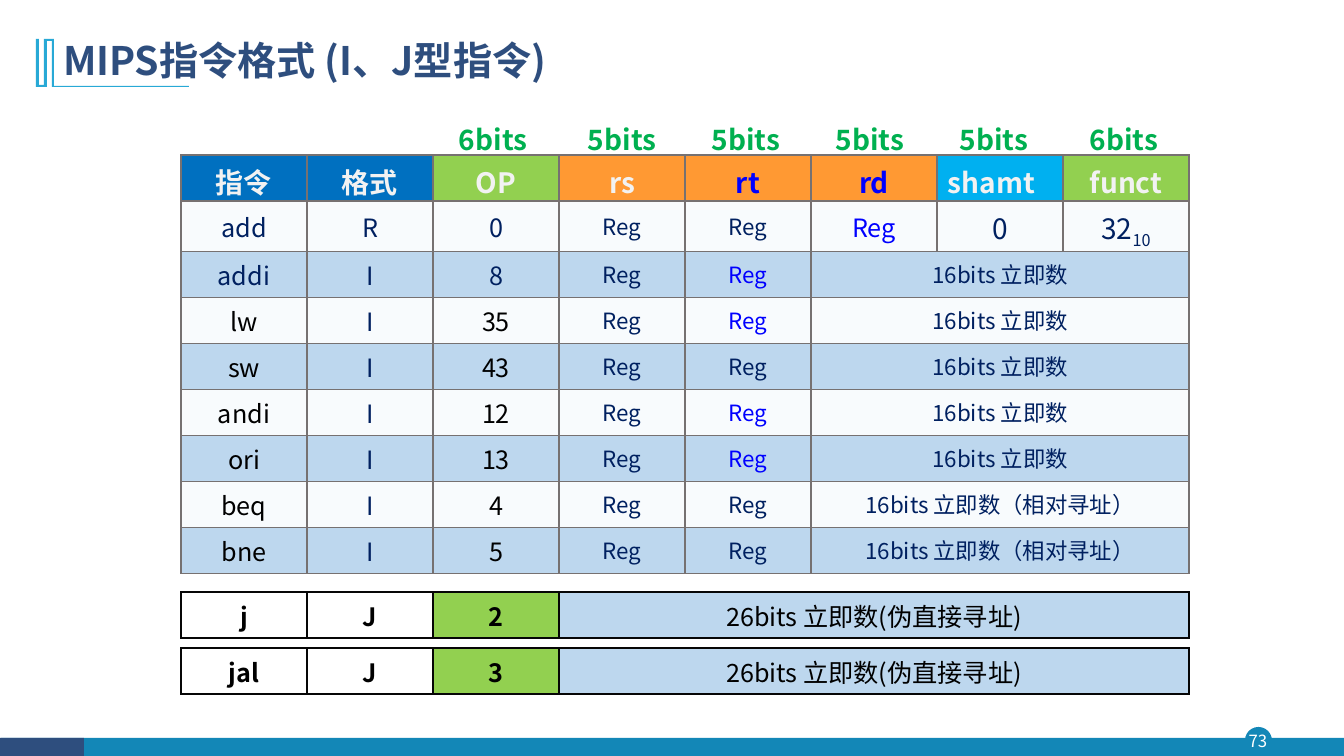
"""Build the slide on MIPS I-type and J-type instruction formats."""
from dataclasses import dataclass

from lxml import etree
from pptx import Presentation
from pptx.dml.color import RGBColor
from pptx.enum.shapes import MSO_SHAPE
from pptx.enum.text import MSO_ANCHOR, PP_ALIGN
from pptx.oxml.ns import qn
from pptx.util import Pt

OVAL, RECT = MSO_SHAPE.OVAL, MSO_SHAPE.RECTANGLE
TOP, MIDDLE = MSO_ANCHOR.TOP, MSO_ANCHOR.MIDDLE
LEFT, CENTER = PP_ALIGN.LEFT, PP_ALIGN.CENTER
PX = 914400 / 100.8


@dataclass(frozen=True)
class Theme:
    """Colours, font and type sizes."""
    font: str = "Noto Sans CJK SC"
    title: int = 28
    head: int = 20
    body: int = 18
    small: int = 16
    page: int = 12
    white: str = "FFFFFF"
    black: str = "000000"
    teal: str = "1387B7"
    sky: str = "28A9D6"
    slate: str = "2E4E7E"
    navy: str = "002060"
    blue: str = "0000FF"
    pale: str = "F2F2F2"
    royal: str = "0070C0"
    cyan: str = "00B0F0"
    green: str = "00B050"
    lime: str = "92D050"
    orange: str = "FF9933"
    band: str = "BDD7EE"
    tint: str = "DEEBF7"
    grid: str = "767171"
    ink: str = "060606"


T = Theme()

TITLE = "MIPS指令格式 (I、J型指令)"
PAGE = "73"
WIDTHS = [("", 0), ("", 0), ("6bits", 0), ("5bits", 5), ("5bits", 5),
          ("5bits", 5), ("5bits", 5), ("6bits", 11)]
HEADS = [("指令", T.royal, T.pale), ("格式", T.royal, T.pale), ("OP", T.lime, T.pale),
         ("rs", T.orange, T.pale), ("rt", T.orange, T.blue), ("rd", T.orange, T.blue),
         ("shamt", T.cyan, T.pale), ("funct", T.lime, T.pale)]
IMM, REL = "16bits 立即数", "16bits 立即数（相对寻址）"
I_TYPE = [("addi", "8", T.navy, T.blue, IMM), ("lw", "35", T.black, T.blue, IMM),
          ("sw", "43", T.black, T.navy, IMM), ("andi", "12", T.black, T.blue, IMM),
          ("ori", "13", T.black, T.blue, IMM), ("beq", "4", T.black, T.navy, REL),
          ("bne", "5", T.black, T.navy, REL)]
R_TYPE = [("add", T.body, T.navy), ("R", T.body, T.navy), ("0", T.body, T.navy),
          ("Reg", T.small, T.navy), ("Reg", T.small, T.navy), ("Reg", T.body, T.blue),
          ("0", T.head, T.navy), ("32", T.head, T.navy)]
FUNCT_BASE = "10"
J_TYPE = [("j", "2", 592), ("jal", "3", 648)]
J_IMM = "26bits 立即数(伪直接寻址)"

BARS = [(OVAL, 1245, 727, 27, 27, T.teal), (RECT, 1, 738, 1343, 19, T.teal),
        (RECT, 0, 738, 84, 19, T.slate)]
MARK = [(54, 39), (54, 86), (189, 86), (189, 87), (52, 87), (52, 41), (47, 41), (47, 87),
        (36, 87), (36, 39), (39, 39), (39, 85), (44, 85), (44, 39)]
TABLE_X, COL_W, ROW_H = 181, 126, 46


def px(n):
    return round(n * PX)


def rgb(color):
    return RGBColor.from_string(color)


def add_run(p, text, size, color, bold=False):
    r = p.add_run()
    r.text = text
    f = r.font
    f.name, f.size, f.bold = T.font, Pt(size), bold
    f.color.rgb = rgb(color)
    rPr = r._r.get_or_add_rPr()
    etree.SubElement(rPr, qn("a:ea"), typeface=T.font)
    return r


def add_text(s, box, text, size, color, inset, align=LEFT, bold=False):
    tf = s.shapes.add_textbox(*map(px, box)).text_frame
    tf.word_wrap, tf.vertical_anchor = True, MIDDLE
    tf.margin_left = tf.margin_right = px(inset)
    tf.margin_top = tf.margin_bottom = px(inset // 2)
    p = tf.paragraphs[0]
    p.alignment, p.line_spacing = align, 0.9
    add_run(p, text, size, color, bold)


def paint(sp, color):
    sp.shadow.inherit = False
    sp.fill.solid()
    sp.fill.fore_color.rgb = rgb(color)
    sp.line.fill.background()


def add_table(s, x, y, widths, rows):
    tbl = s.shapes.add_table(rows, len(widths), px(x), px(y),
                             px(sum(widths)), px(ROW_H * rows)).table
    tbl.first_row = tbl.horz_banding = False
    for col, w in zip(tbl.columns, widths):
        col.width = px(w)
    return tbl


def set_cell(cell, text, size, color, fill, line, bold=False, align=CENTER,
             anchor=MIDDLE, bottom=1, indent=0):
    pad = 1 if size == T.head else 0
    cell.margin_left, cell.margin_right = px(10 + pad + indent), px(10 + pad)
    cell.margin_top = cell.margin_bottom = px(5 + pad)
    cell.vertical_anchor = anchor
    tcPr = cell._tc.get_or_add_tcPr()
    for side in "LRTB":
        weight = Pt(bottom if side == "B" else 1)
        ln = etree.SubElement(tcPr, qn("a:ln" + side), w=str(weight))
        solid = etree.SubElement(ln, qn("a:solidFill"))
        etree.SubElement(solid, qn("a:srgbClr"), val=line)
    cell.fill.solid()
    cell.fill.fore_color.rgb = rgb(fill)
    if fill == T.tint:
        clr = tcPr.find(qn("a:solidFill")).find(qn("a:srgbClr"))
        etree.SubElement(clr, qn("a:alpha"), val="20000")
    p = cell.text_frame.paragraphs[0]
    p.alignment = align
    if text:
        add_run(p, text, size, color, bold)


def add_format_table(s):
    tbl = add_table(s, TABLE_X, 155, [COL_W] * len(HEADS), 2 + len(I_TYPE))
    for c, (text, fill, color) in enumerate(HEADS):
        align = LEFT if text == "shamt" else CENTER
        set_cell(tbl.cell(0, c), text, T.head, color, fill, T.grid, True, align)
    for c, (text, size, color) in enumerate(R_TYPE):
        set_cell(tbl.cell(1, c), text, size, color, T.tint, T.grid)
    p = tbl.cell(1, len(R_TYPE) - 1).text_frame.paragraphs[0]
    r = add_run(p, FUNCT_BASE, T.head, T.navy)
    r._r.get_or_add_rPr().set("baseline", "-25000")
    for i, (name, op, color, rt_color, imm) in enumerate(I_TYPE):
        row = i + 2
        fill = T.tint if i % 2 else T.band
        tbl.cell(row, 5).merge(tbl.cell(row, 7))
        cells = [(name, T.body, color), ("I", T.body, T.navy), (op, T.body, color),
                 ("Reg", T.small, T.navy), ("Reg", T.small, rt_color),
                 (imm, T.small, T.navy), ("", T.small, T.navy), ("", T.small, T.navy)]
        for c, (text, size, ink) in enumerate(cells):
            set_cell(tbl.cell(row, c), text, size, ink, fill, T.grid)


def main():
    prs = Presentation()
    prs.slide_width, prs.slide_height = px(1344), px(756)
    s = prs.slides.add_slide(prs.slide_layouts[6])
    for kind, x, y, w, h, color in BARS:
        paint(s.shapes.add_shape(kind, px(x), px(y), px(w), px(h)), color)
    add_text(s, (1242, 727, 32, 31), PAGE, T.page, T.white, 0, CENTER)
    fb = s.shapes.build_freeform(*MARK[0], scale=PX)
    fb.add_line_segments(MARK[1:], close=True)
    paint(fb.convert_to_shape(), T.sky)
    add_text(s, (53, 28, 1159, 69), TITLE, T.title, T.slate, 10, bold=True)

    labels = add_table(s, 200, 112, [124] * len(WIDTHS), 1)
    for c, (text, indent) in enumerate(WIDTHS):
        set_cell(labels.cell(0, c), text, T.head, T.green, T.white, T.white, True,
                 LEFT, TOP, 3, indent)
    add_format_table(s)
    for name, op, y in J_TYPE:
        tbl = add_table(s, TABLE_X, y, [COL_W] * 3 + [COL_W * 5], 1)
        cells = [(name, T.white), ("J", T.white), (op, T.lime), (J_IMM, T.band)]
        for c, (text, fill) in enumerate(cells):
            set_cell(tbl.cell(0, c), text, T.body, T.black, fill, T.ink,
                     text != J_IMM, anchor=TOP, bottom=2)
    prs.save("out.pptx")


if __name__ == "__main__":
    main()
